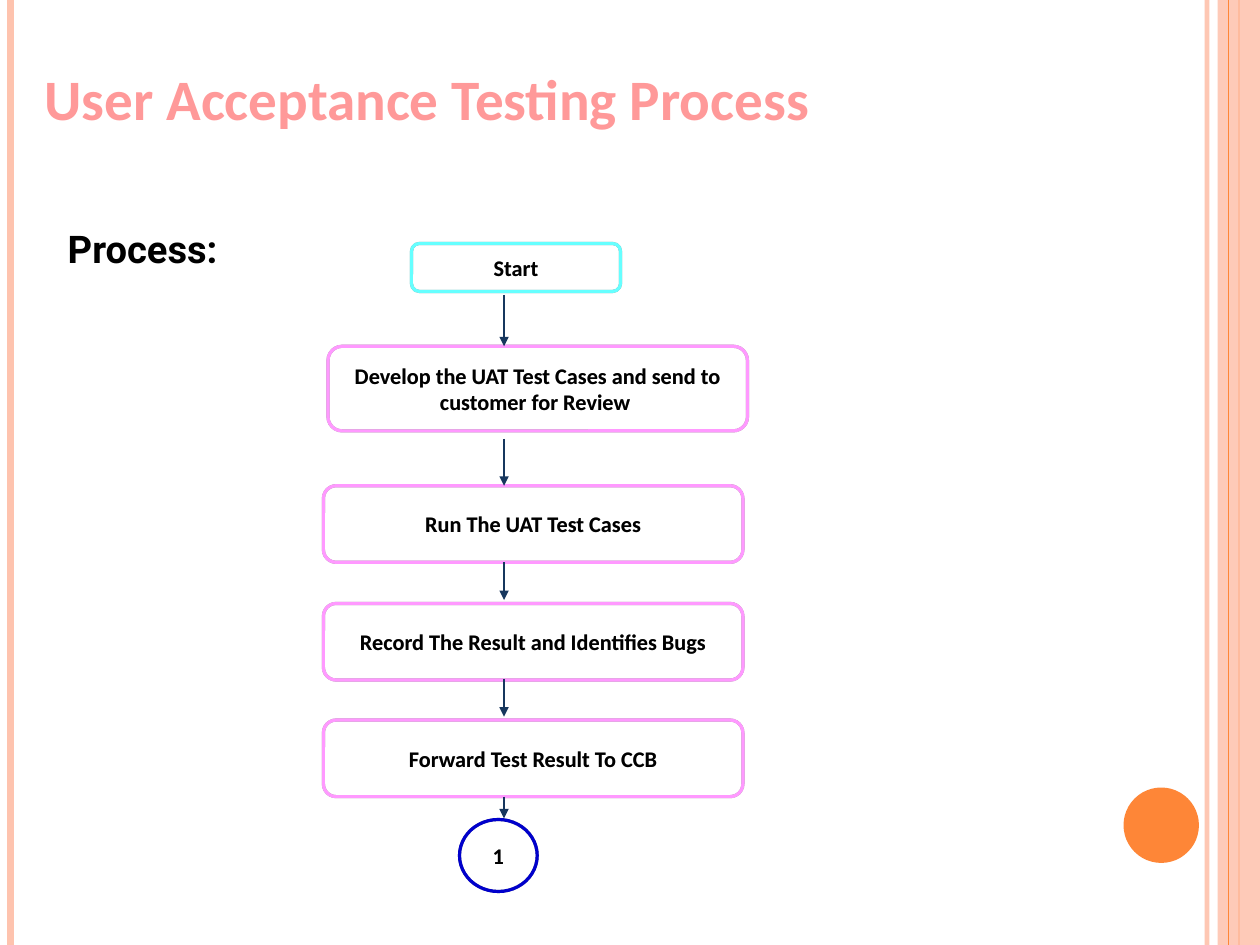
from typing import NamedTuple

from lxml import etree
from pptx import Presentation
from pptx import util as u
from pptx.dml import color
from pptx.enum import shapes, text
from pptx.oxml import ns

CM_PER_INCH = 2.54
SLIDE_W, SLIDE_H = 28 / CM_PER_INCH, 21 / CM_PER_INCH
BAND_W = 0.37
PEACH, ORANGE, NAVY = "FEC3AE", "FE8637", "17375E"
CYAN, PINK, BLUE = "66FFFF", "FF99FF", "0000CC"
FLOW_X = 4.41
ROUNDED = shapes.MSO_SHAPE.ROUNDED_RECTANGLE
OVAL = shapes.MSO_SHAPE.OVAL


class Stripe(NamedTuple):
    x: float
    hue: str
    weight: float
    opacity: int = 100


class Step(NamedTuple):
    label: str
    left: float
    top: float
    width: float
    height: float
    outline: str = PINK
    outline_kind: shapes.MSO_SHAPE = ROUNDED


class Arrow(NamedTuple):
    start: float
    end: float


STRIPES = [
    Stripe(10.56, PEACH, 3, 93),
    Stripe(0.09, PEACH, 4.5),
    Stripe(10.84, ORANGE, 1.5),
]
INNER_STRIPE = Stripe(10.75, ORANGE, 0.75)
STEPS = [
    Step("Start", 3.6, 2.13, 1.83, 0.42, CYAN),
    Step("Develop the UAT Test Cases and send to customer for Review ",
         2.87, 3.03, 3.67, 0.74),
    Step("Run The UAT Test Cases", 2.83, 4.25, 3.67, 0.67),
    Step("Record The Result and Identifies Bugs", 2.83, 5.28, 3.67, 0.67),
    Step("Forward Test Result To CCB", 2.83, 6.3, 3.67, 0.67),
    Step("1", 4.02, 7.17, 0.68, 0.63, BLUE, OVAL),
]
ARROWS = [
    Arrow(2.58, 3.03),
    Arrow(3.84, 4.25),
    Arrow(4.92, 5.25),
    Arrow(5.94, 6.27),
    Arrow(6.97, 7.16),
]


def rgb(value: str) -> color.RGBColor:
    return color.RGBColor.from_string(value)


def set_opacity(element, percent: int) -> None:
    hue = element.find(".//" + ns.qn("a:srgbClr"))
    etree.SubElement(hue, ns.qn("a:alpha"), val=str(percent * 1000))


def add_shadow(shape) -> None:
    shape.shadow.inherit = False
    effects = shape._element.spPr.find(ns.qn("a:effectLst"))
    shadow = etree.SubElement(effects, ns.qn("a:outerShdw"),
                              blurRad="0", dist="0", dir="0")
    etree.SubElement(shadow, ns.qn("a:srgbClr"), val="000000")
    set_opacity(shadow, 40)


def add_run(paragraph, words: str, font: str, size: float,
            hue: str = "000000") -> None:
    run = paragraph.add_run()
    run.text = words
    run.font.name = font
    run.font.size = u.Pt(size)
    run.font.bold = True
    run.font.color.rgb = rgb(hue)


def draw_vertical(slide, x: float, start: float, end: float,
                  hue: str, weight: float):
    line = slide.shapes.add_connector(
        shapes.MSO_CONNECTOR.STRAIGHT,
        u.Inches(x), u.Inches(start), u.Inches(x), u.Inches(end))
    line.line.color.rgb = rgb(hue)
    line.line.width = u.Pt(weight)
    etree.SubElement(line._element.spPr, ns.qn("a:effectLst"))
    return line


def draw_stripe(slide, stripe: Stripe) -> None:
    line = draw_vertical(slide, stripe.x, 0, SLIDE_H, stripe.hue, stripe.weight)
    if stripe.opacity < 100:
        set_opacity(line._element.spPr, stripe.opacity)


def draw_arrow(slide, arrow: Arrow) -> None:
    line = draw_vertical(slide, FLOW_X, arrow.start, arrow.end, NAVY, 1.25)
    etree.SubElement(line.line._get_or_add_ln(), ns.qn("a:tailEnd"),
                     type="triangle")


def draw_filled(slide, kind, left: float, top: float, width: float,
                height: float, hue: str):
    panel = slide.shapes.add_shape(
        kind, u.Inches(left), u.Inches(top), u.Inches(width), u.Inches(height))
    panel.shadow.inherit = False
    panel.fill.solid()
    panel.fill.fore_color.rgb = rgb(hue)
    panel.line.fill.background()
    return panel


def draw_step(slide, step: Step) -> None:
    box = slide.shapes.add_shape(
        step.outline_kind, u.Inches(step.left), u.Inches(step.top),
        u.Inches(step.width), u.Inches(step.height))
    box.fill.background()
    box.line.color.rgb = rgb(step.outline)
    box.line.width = u.Pt(2)
    add_shadow(box)
    frame = box.text_frame
    frame.word_wrap = True
    frame.vertical_anchor = text.MSO_ANCHOR.MIDDLE
    paragraph = frame.paragraphs[0]
    paragraph.alignment = text.PP_ALIGN.CENTER
    add_run(paragraph, step.label, "Calibri", 14)


def add_text_area(slide, top: float, height: float, anchor):
    area = slide.shapes.add_textbox(
        u.Inches(0.39), u.Inches(top), u.Inches(10.24), u.Inches(height))
    frame = area.text_frame
    frame.word_wrap = True
    frame.vertical_anchor = anchor
    frame.margin_left = frame.margin_right = u.Inches(0)
    frame.margin_top = frame.margin_bottom = u.Inches(0)
    return frame.paragraphs[0]


def main() -> None:
    deck = Presentation()
    deck.slide_width = u.Inches(SLIDE_W)
    deck.slide_height = u.Inches(SLIDE_H)
    slide = deck.slides.add_slide(deck.slide_layouts[6])

    for stripe in STRIPES:
        draw_stripe(slide, stripe)
    side_band = draw_filled(slide, shapes.MSO_SHAPE.RECTANGLE,
                            SLIDE_W - BAND_W, 0, BAND_W, SLIDE_H, PEACH)
    set_opacity(side_band._element.spPr, 87)
    draw_stripe(slide, INNER_STRIPE)
    draw_filled(slide, OVAL, 9.83, 6.89, 0.66, 0.66, ORANGE)

    title = add_text_area(slide, 0.33, 1.05, text.MSO_ANCHOR.MIDDLE)
    add_run(title, "User Acceptance Testing Process", "Calibri", 36, "FF9999")
    heading = add_text_area(slide, 1.97, 5.51, text.MSO_ANCHOR.TOP)
    indent = heading._p.get_or_add_pPr()
    indent.set("marL", str(u.Inches(0.47)))
    indent.set("indent", str(u.Inches(-0.35)))
    add_run(heading, " Process:", "Roboto", 24)

    for step in STEPS:
        draw_step(slide, step)
    for arrow in ARROWS:
        draw_arrow(slide, arrow)

    deck.save("out.pptx")


if __name__ == "__main__":
    main()
